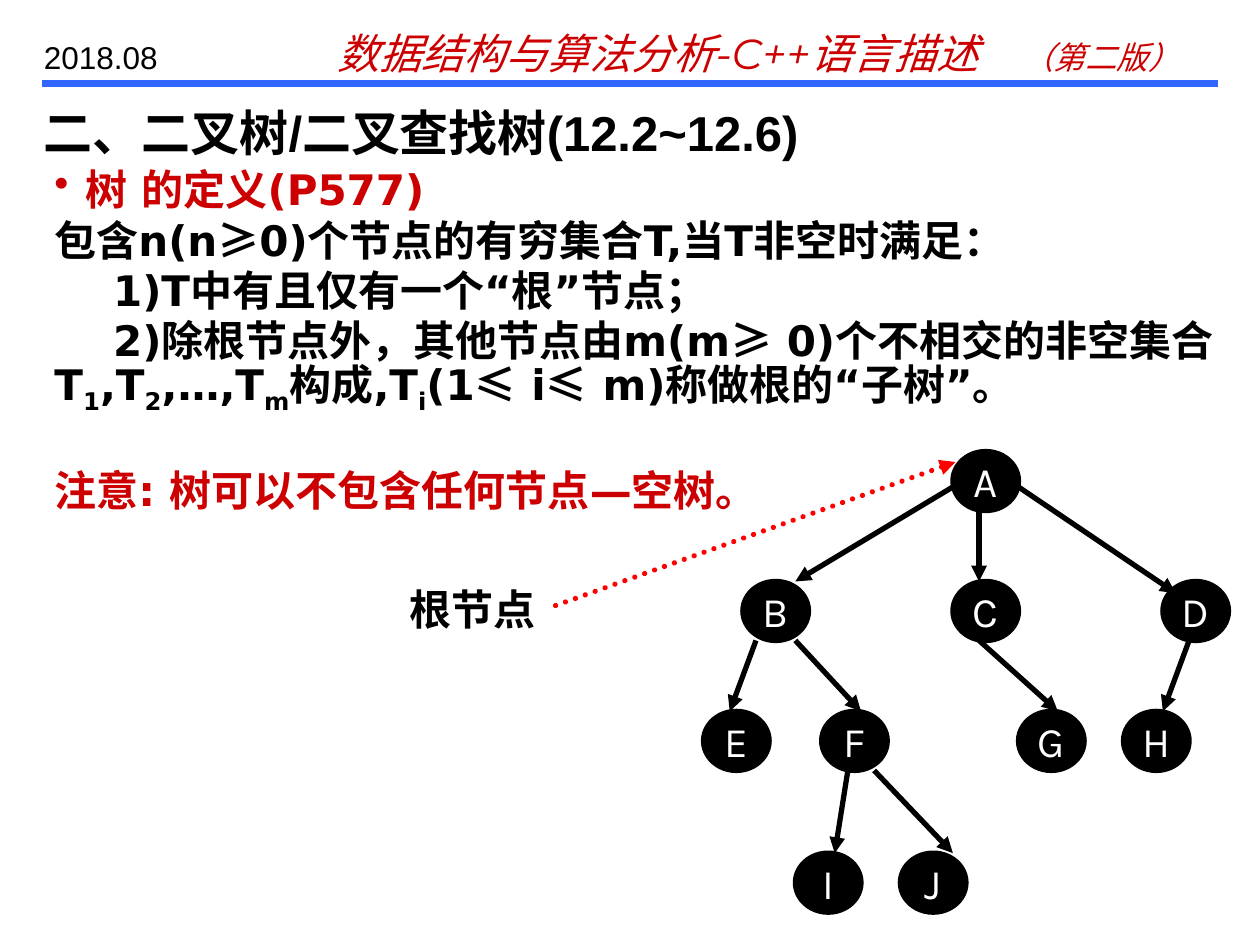
from lxml import etree
from pptx import Presentation
from pptx.dml.color import RGBColor
from pptx.enum.dml import MSO_LINE
from pptx.enum.shapes import MSO_CONNECTOR, MSO_SHAPE
from pptx.enum.text import MSO_ANCHOR, PP_ALIGN
from pptx.oxml.ns import qn
from pptx.util import Pt

STRAIGHT = MSO_CONNECTOR.STRAIGHT
OVAL = MSO_SHAPE.OVAL
MIDDLE = MSO_ANCHOR.MIDDLE
CENTER = PP_ALIGN.CENTER
DOTTED = MSO_LINE.ROUND_DOT

BLACK, WHITE, CRIMSON, RED, BLUE = "000000", "FFFFFF", "CC0000", "FF0000", "3366FF"
BODY_FONT, SYMBOL_FONT = "DejaVu Sans", "Noto Sans CJK SC"
BODY_LINE = 28.8

TREE_LEFT, TREE_TOP = 402, 258
COLUMN, ROW = 7.5, 6.75
NODE_SPAN = 5

NODES = {
    "A": (19, 0), "F": (9, 22), "H": (32, 22), "G": (24, 22), "I": (7, 34),
    "E": (0, 22), "C": (19, 11), "J": (15, 34), "D": (35, 11), "B": (3, 11),
}
EDGES = [
    ((19, 3), (7, 11)), ((21, 5), (21, 11)), ((24, 3), (36, 12)),
    ((4, 16), (2, 22)), ((7, 16), (12, 22)), ((11, 27), (10, 34)),
    ((13, 27), (19, 34)), ((21, 16), (27, 22)), ((37, 16), (35, 22)),
]


def color(hex_string):
    """Turn a hex string into a colour."""
    return RGBColor.from_string(hex_string)


def add_run(paragraph, text, size, font, hex_color, bold=False, italic=False):
    """Add one run, with the same font for Latin and East Asian text."""
    run = paragraph.add_run()
    run.text = text
    run.font.size = Pt(size)
    run.font.name = font
    run.font.bold = bold
    run.font.italic = italic
    run.font.color.rgb = color(hex_color)
    etree.SubElement(run.font._element, qn("a:ea"), typeface=font)
    return run


def add_text_box(slide, left, top, width, height):
    """Add a wrapping text box and return its text frame."""
    frame = slide.shapes.add_textbox(Pt(left), Pt(top), Pt(width), Pt(height)).text_frame
    frame.word_wrap = True
    return frame


def add_line(shapes, start, end, hex_color, width, arrow=None):
    """Add a straight line, with an optional arrowhead at headEnd or tailEnd."""
    points = [Pt(value) for value in (*start, *end)]
    connector = shapes.add_connector(STRAIGHT, *points)
    connector.line.color.rgb = color(hex_color)
    connector.line.width = Pt(width)
    if arrow:
        etree.SubElement(connector.line._get_or_add_ln(), qn(f"a:{arrow}"), type="triangle")
    etree.SubElement(connector._element.spPr, qn("a:effectLst"))
    return connector


def set_indent(paragraph, left, first_line):
    """Set the left margin and first-line indent of a paragraph."""
    properties = paragraph._p.get_or_add_pPr()
    properties.set("marL", str(Pt(left)))
    properties.set("indent", str(Pt(first_line)))
    return properties


def add_header(slide):
    """Add the header rule, the book title and the date."""
    add_line(slide.shapes, (24, 48), (696, 48), BLUE, 4)
    paragraph = add_text_box(slide, 186, 12, 504, 36).paragraphs[0]
    tabs = etree.SubElement(paragraph._p.get_or_add_pPr(), qn("a:tabLst"))
    etree.SubElement(tabs, qn("a:tab"), pos=str(Pt(391)), algn="l")
    add_run(paragraph, "数据结构与算法分析-C++语言描述\t", 24, "Montserrat", CRIMSON, italic=True)
    add_run(paragraph, "（第二版）", 18, "Montserrat", CRIMSON, italic=True)
    date = add_text_box(slide, 18, 18, 102, 29).paragraphs[0]
    add_run(date, "2018.08", 18, "Arial", BLACK)


def add_title(slide):
    """Add the section title."""
    paragraph = add_text_box(slide, 18, 54, 654, 36).paragraphs[0]
    paragraph.line_spacing = Pt(34.5)
    add_run(paragraph, "二、二叉树/二叉查找树(12.2~12.6)", 28, "Arial", BLACK, bold=True)


def add_body_paragraph(paragraph, parts, hex_color):
    """Fill a body paragraph; a part is text or a (text, is_subscript) pair."""
    paragraph.line_spacing = Pt(BODY_LINE)
    for part in parts:
        text, subscript = part if isinstance(part, tuple) else (part, False)
        font = SYMBOL_FONT if text in ("≥", "≤") else BODY_FONT
        run = add_run(paragraph, text, 24, font, hex_color, bold=True)
        if subscript:
            run.font._element.set("baseline", "-25000")


def add_definition(slide):
    """Add the definition of a tree and the remark below it."""
    frame = add_text_box(slide, 24, 90, 696, 208)
    heading = frame.paragraphs[0]
    properties = set_indent(heading, 17.5, -17.5)
    bullet_color = etree.SubElement(properties, qn("a:buClr"))
    etree.SubElement(bullet_color, qn("a:srgbClr"), val=CRIMSON)
    etree.SubElement(properties, qn("a:buChar"), char="•")
    add_body_paragraph(heading, ["树 的定义(P577)"], CRIMSON)

    add_body_paragraph(
        frame.add_paragraph(),
        ["包含n(n", "≥", "0)个节点的有穷集合T,当T非空时满足："], BLACK)
    conditions = [
        ["1)T中有且仅有一个“根”节点；"],
        ["2)除根节点外，其他节点由m(m", "≥", " 0)个不相交的非空集合T", ("1", True),
         ",T", ("2", True), ",…,T", ("m", True), "构成,T", ("i", True),
         "(1", "≤", " i", "≤", " m)称做根的“子树”。"],
    ]
    for parts in conditions:
        paragraph = frame.add_paragraph()
        set_indent(paragraph, 0, 33.5)
        add_body_paragraph(paragraph, parts, BLACK)

    remark = frame.add_paragraph()
    remark.space_before = Pt(28)
    add_body_paragraph(remark, ["注意: 树可以不包含任何节点—空树。"], CRIMSON)


def tree_point(column, row):
    """Return the position of a tree grid point."""
    return TREE_LEFT + column * COLUMN, TREE_TOP + row * ROW


def add_node(shapes, label, column, row):
    """Add one labelled tree node."""
    left, top = tree_point(column, row)
    shape = shapes.add_shape(
        OVAL, Pt(left), Pt(top), Pt(NODE_SPAN * COLUMN), Pt(NODE_SPAN * ROW))
    shape.shadow.inherit = False
    shape.fill.solid()
    shape.fill.fore_color.rgb = color(BLACK)
    shape.line.color.rgb = color(BLACK)
    shape.line.width = Pt(3)
    frame = shape.text_frame
    frame.word_wrap = False
    frame.vertical_anchor = MIDDLE
    frame.paragraphs[0].alignment = CENTER
    add_run(frame.paragraphs[0], label, 24, "Karla", WHITE)


def add_tree(slide):
    """Add the grouped tree of nodes and edges."""
    shapes = slide.shapes.add_group_shape().shapes
    for label, (column, row) in NODES.items():
        add_node(shapes, label, column, row)
    for start, end in EDGES:
        add_line(shapes, tree_point(*start), tree_point(*end), BLACK, 3, "tailEnd")


def add_root_callout(slide):
    """Add the dotted arrow to the root and its label."""
    pointer = add_line(slide.shapes, (546, 264), (312, 348), RED, 3, "headEnd")
    pointer.line.dash_style = DOTTED
    pointer.line._get_or_add_ln().set("cap", "rnd")
    paragraph = add_text_box(slide, 198, 330, 144, 36).paragraphs[0]
    paragraph.alignment = CENTER
    add_run(paragraph, "根节点", 24, "Arial", BLACK, bold=True)


def main():
    """Build the slide and save it."""
    presentation = Presentation()
    presentation.slide_width = Pt(720)
    presentation.slide_height = Pt(540)
    slide = presentation.slides.add_slide(presentation.slide_layouts[6])
    add_header(slide)
    add_title(slide)
    add_definition(slide)
    add_tree(slide)
    add_root_callout(slide)
    presentation.save("out.pptx")


if __name__ == "__main__":
    main()
